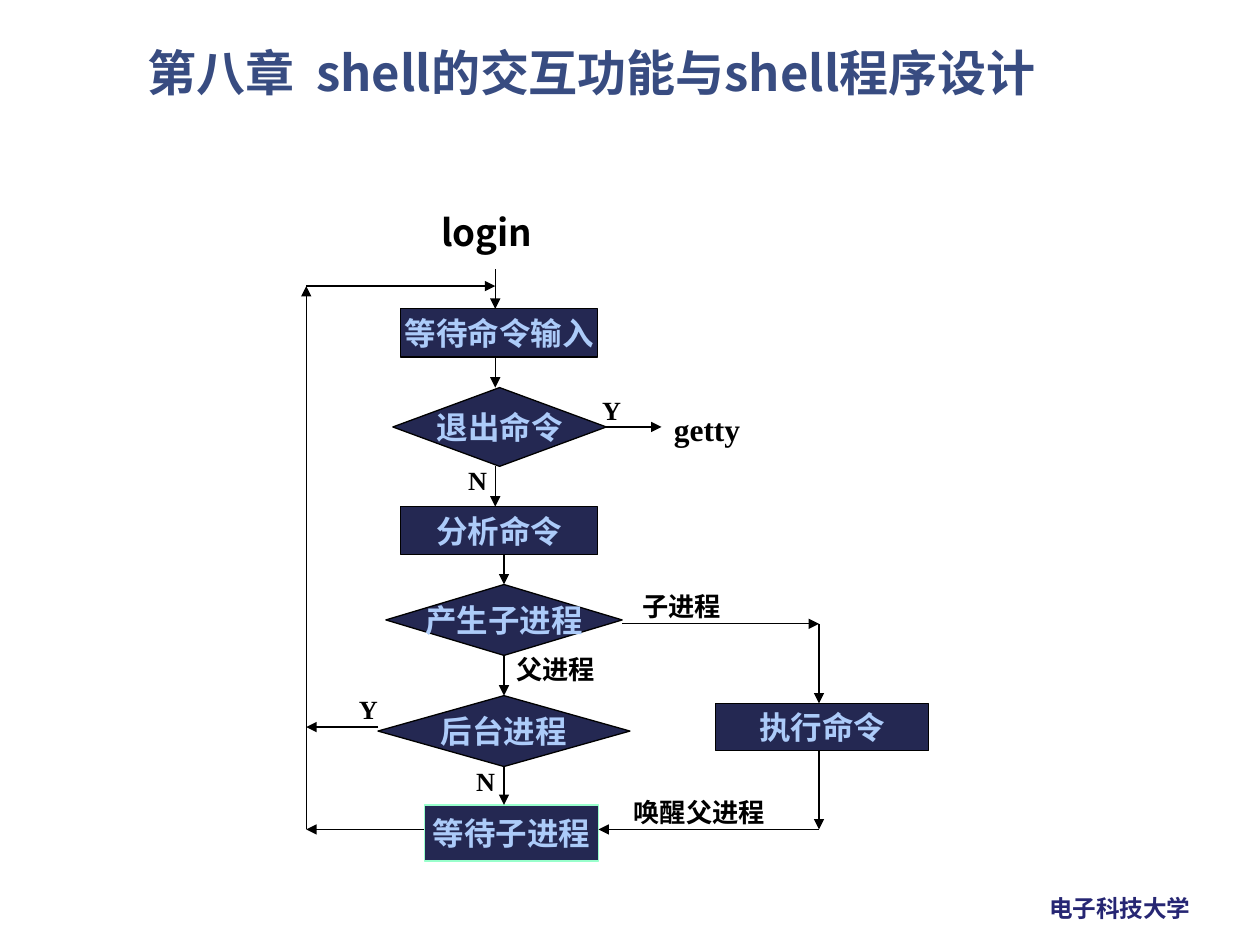
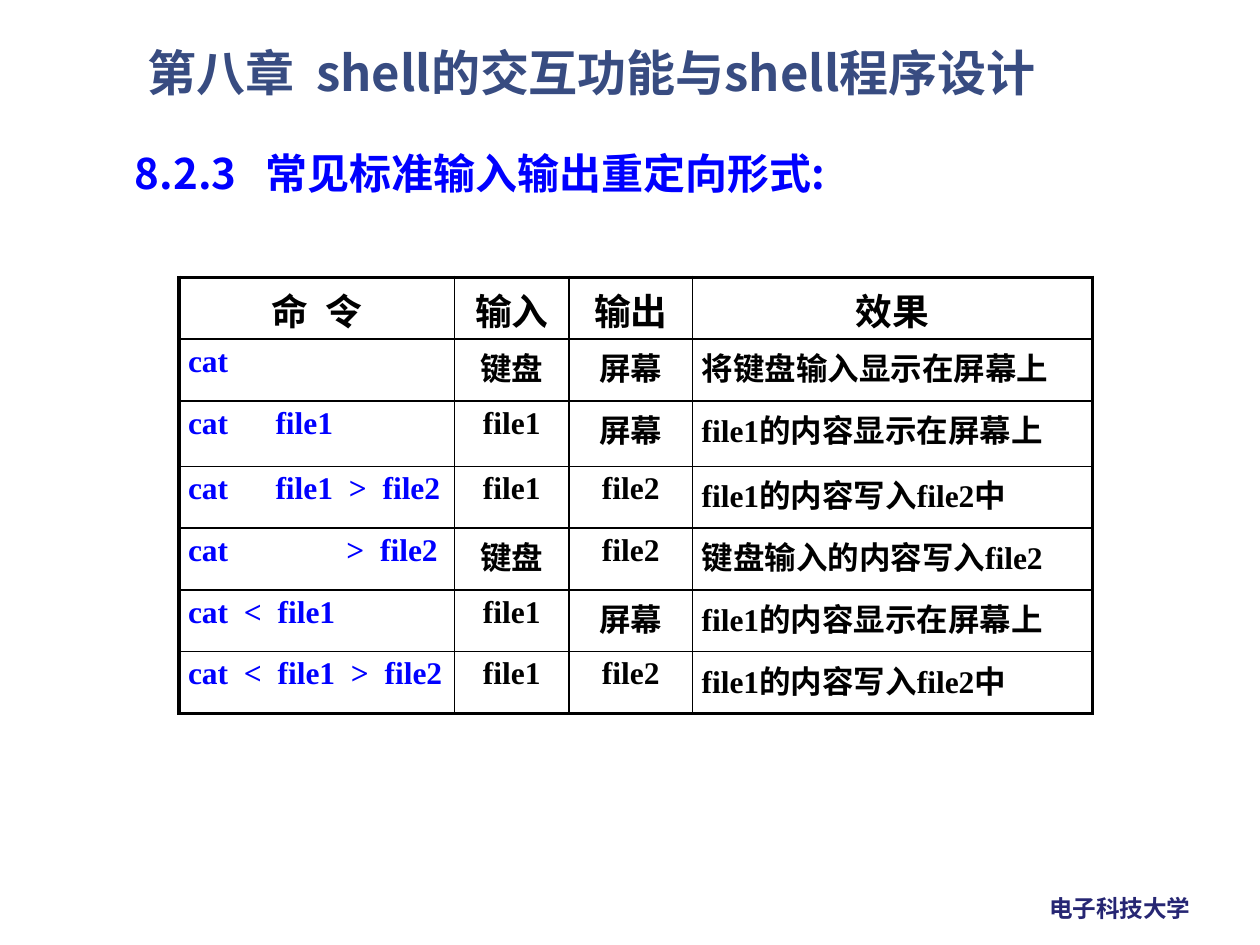
from dataclasses import dataclass

from lxml.etree import SubElement
from pptx import Presentation
from pptx.dml.color import RGBColor
from pptx.enum.shapes import MSO_CONNECTOR as Connector, MSO_SHAPE as Preset
from pptx.enum.text import MSO_ANCHOR as Anchor, PP_ALIGN as Align
from pptx.oxml.ns import qn
from pptx.util import Pt

SANS, SERIF = "Noto Sans CJK SC", "Times New Roman"
BLACK, BLUE, NAVY, PALE = "000000", "0000FF", "242852", "ACCBF9"
TITLE_COLOR, FOOTER_COLOR, MINT = "384C81", "262673", "99FFCC"
CHAPTER = "第八章  shell的交互功能与shell程序设计"
UPPER_X, LOWER_X, CHILD_X, LOOP_X = 283, 288, 468, 175
LOOP_TOP, LOOP_BOTTOM = 163.5, 474
JOIN_TOLERANCE = 0.75


@dataclass(frozen=True)
class Node:
    """A flowchart box, with its place in points."""
    text: str
    left: float
    top: float
    width: float
    height: float
    preset: Preset = Preset.RECTANGLE
    line: str = BLACK


@dataclass(frozen=True)
class Label:
    """A line of free text, with its place in points."""
    text: str
    left: float
    top: float
    width: float
    height: float = 25
    size: float = 15
    font: str = SERIF
    color: str = BLACK
    wrap: bool = True


@dataclass(frozen=True)
class Arrow:
    """A straight arrow between two points."""
    x1: float
    y1: float
    x2: float
    y2: float


FOOTER = Label("电子科技大学", 592.5, 507.5, 96.5, 24, 13.5, SANS, FOOTER_COLOR, False)
HEADING = Label("8.2.3   常见标准输入输出重定向形式:", 70, 81, 620, 42, 24, SANS, BLUE)

NODES = (
    Node("等待命令输入", 229, 176.5, 112.5, 27.5),
    Node("分析命令", 229, 289.5, 112.5, 27.5),
    Node("退出命令", 224.5, 221.5, 122, 45, Preset.FLOWCHART_DECISION),
    Node("产生子进程", 220.5, 334, 135, 40.5, Preset.FLOWCHART_DECISION),
    Node("后台进程", 216, 397.5, 144, 40.5, Preset.FLOWCHART_DECISION),
    Node("等待子进程", 242.5, 460, 99.5, 32, Preset.FLOWCHART_PROCESS, MINT),
    Node("执行命令", 409, 402, 121.5, 27),
)
ARROWS = (
    Arrow(UPPER_X, 154, UPPER_X, 176.5),
    Arrow(UPPER_X, 204, UPPER_X, 221.5),
    Arrow(UPPER_X, 266.5, UPPER_X, 289.5),
    Arrow(LOWER_X, 317, LOWER_X, 334),
    Arrow(LOWER_X, 374.5, LOWER_X, 397.5),
    Arrow(LOWER_X, 438, LOWER_X, 460),
    Arrow(346.5, 244, 378, 244),
    Arrow(355.5, 356.5, CHILD_X, 356.5),
    Arrow(CHILD_X, 356.5, CHILD_X, 402),
    Arrow(CHILD_X, 429, CHILD_X, LOOP_BOTTOM),
    Arrow(CHILD_X, LOOP_BOTTOM, 342, LOOP_BOTTOM),
    Arrow(LOOP_X, LOOP_TOP, UPPER_X, LOOP_TOP),
    Arrow(242.5, LOOP_BOTTOM, LOOP_X, LOOP_BOTTOM),
    Arrow(LOOP_X, LOOP_BOTTOM, LOOP_X, LOOP_TOP),
    Arrow(216, 415.5, LOOP_X, 415.5),
)
LABELS = (
    Label("login", 245, 116.5, 80, 38, 21, SANS),
    Label("getty", 378, 230.5, 72, 29, 18),
    Label("Y", 337, 222, 27),
    Label("N", 260.5, 262, 36),
    Label("子进程", 360, 334, 78.5),
    Label("父进程", 288, 370, 72),
    Label("唤醒父进程", 355, 451.5, 103.5),
    Label("N", 265, 433.5, 27),
    Label("Y", 198, 392.5, 31.5),
)
COLUMN_WIDTHS = (157.5, 65.5, 70.5, 228.5)
ROW_HEIGHTS = (35.3, 35.3, 37.4, 35.3, 35.3, 35.3, 35.3)
COMMAND_TABS = (50, 90.5)
REDIRECTIONS = (
    ("命  令", "输入", "输出", "效果"),
    ("cat", "键盘", "屏幕", "将键盘输入显示在屏幕上"),
    ("cat\tfile1", "file1", "屏幕", "file1的内容显示在屏幕上"),
    ("cat\tfile1  >  file2", "file1", "file2", "file1的内容写入file2中"),
    ("cat\t\t>  file2", "键盘", "file2", "键盘输入的内容写入file2"),
    ("cat  <  file1", "file1", "屏幕", "file1的内容显示在屏幕上"),
    ("cat  <  file1  >  file2", "file1", "file2", "file1的内容写入file2中"),
)


def rgb(color: str) -> RGBColor:
    """Turn a hex string into a colour."""
    return RGBColor.from_string(color)


def write(text_frame, text: str, size: float, font: str, color: str, align=Align.LEFT):
    """Set one bold paragraph, format it and return it."""
    text_frame.text = text
    paragraph = text_frame.paragraphs[0]
    paragraph.alignment = align
    for run in paragraph.runs:
        run.font.size, run.font.bold, run.font.name = Pt(size), True, font
        run.font.color.rgb = rgb(color)
        SubElement(run.font._element, qn("a:ea")).set("typeface", SANS)
    return paragraph


def add_label(slide, label: Label) -> None:
    """Draw a text box."""
    box = slide.shapes.add_textbox(Pt(label.left), Pt(label.top), Pt(label.width), Pt(label.height))
    box.text_frame.word_wrap = label.wrap
    write(box.text_frame, label.text, label.size, label.font, label.color)


def add_node(slide, node: Node):
    """Draw a flowchart box and return its shape."""
    shape = slide.shapes.add_shape(
        node.preset, Pt(node.left), Pt(node.top), Pt(node.width), Pt(node.height))
    shape.shadow.inherit = False
    shape.fill.solid()
    shape.fill.fore_color.rgb = rgb(NAVY)
    shape.line.color.rgb = rgb(node.line)
    shape.line.width = Pt(0.75)
    shape.text_frame.word_wrap = False
    shape.text_frame.vertical_anchor = Anchor.MIDDLE
    write(shape.text_frame, node.text, 18, SERIF, PALE, Align.CENTER)
    return shape


def join(connect, shapes, x: float, y: float) -> None:
    """Join a connector end to a side whose middle lies at the point."""
    for shape in shapes:
        center = shape.left + shape.width / 2
        middle = shape.top + shape.height / 2
        sides = ((center, shape.top), (shape.left, middle),
                 (center, shape.top + shape.height), (shape.left + shape.width, middle))
        for site, (side_x, side_y) in enumerate(sides):
            if max(abs(side_x - Pt(x)), abs(side_y - Pt(y))) <= Pt(JOIN_TOLERANCE):
                connect(shape, site)


def add_arrow(slide, arrow: Arrow, shapes) -> None:
    """Draw an arrow and join it to the boxes it meets."""
    connector = slide.shapes.add_connector(
        Connector.STRAIGHT, Pt(arrow.x1), Pt(arrow.y1), Pt(arrow.x2), Pt(arrow.y2))
    connector.line.color.rgb = rgb(BLACK)
    connector.line.width = Pt(0.75)
    SubElement(connector.line._get_or_add_ln(), qn("a:tailEnd")).set("type", "triangle")
    SubElement(connector._element.spPr, qn("a:effectLst"))
    join(connector.begin_connect, shapes, arrow.x1, arrow.y1)
    join(connector.end_connect, shapes, arrow.x2, arrow.y2)


def set_borders(cell, row: int, column: int) -> None:
    """Give a cell thin inner borders and thick outer ones."""
    outer = {"L": column == 0, "R": column == len(COLUMN_WIDTHS) - 1,
             "T": row == 0, "B": row == len(ROW_HEIGHTS) - 1}
    properties = cell._tc.get_or_add_tcPr()
    for side, thick in outer.items():
        line = SubElement(properties, qn(f"a:ln{side}"), w=str(Pt(2.25 if thick else 1)))
        fill = SubElement(line, qn("a:solidFill"))
        SubElement(fill, qn("a:srgbClr"), val=BLACK)


def add_tabs(paragraph) -> None:
    """Line up the parts of a command on tab stops."""
    stops = SubElement(paragraph._p.get_or_add_pPr(), qn("a:tabLst"))
    for position in COMMAND_TABS:
        SubElement(stops, qn("a:tab"), pos=str(Pt(position)), algn="l")


def add_redirection_table(slide) -> None:
    """Draw the table of redirection forms."""
    table = slide.shapes.add_table(
        len(ROW_HEIGHTS), len(COLUMN_WIDTHS), Pt(102.25), Pt(158.5),
        Pt(sum(COLUMN_WIDTHS)), Pt(sum(ROW_HEIGHTS))).table
    table.first_row = table.horz_banding = False
    for column, width in zip(table.columns, COLUMN_WIDTHS):
        column.width = Pt(width)
    for row, height in zip(table.rows, ROW_HEIGHTS):
        row.height = Pt(height)
    for row, texts in enumerate(REDIRECTIONS):
        for column, text in enumerate(texts):
            cell = table.cell(row, column)
            is_header, is_command = row == 0, row > 0 and column == 0
            cell.margin_left = cell.margin_right = Pt(5.2)
            cell.margin_top = cell.margin_bottom = Pt(2.9)
            set_borders(cell, row, column)
            cell.fill.background()
            paragraph = write(
                cell.text_frame, text, 21 if is_header else 18, SERIF,
                BLUE if is_command else BLACK,
                Align.CENTER if is_header or column in (1, 2) else Align.LEFT)
            if is_command:
                add_tabs(paragraph)


def add_chapter_slide(presentation):
    """Add a slide with the chapter title and the footer."""
    slide = presentation.slides.add_slide(presentation.slide_layouts[5])
    title = slide.shapes.title
    title.left, title.top, title.width, title.height = Pt(77), Pt(26), Pt(550), Pt(34.5)
    title.text_frame.word_wrap = True
    title.text_frame.margin_right = 0
    title.text_frame.vertical_anchor = Anchor.MIDDLE
    write(title.text_frame, CHAPTER, 28, SANS, TITLE_COLOR).line_spacing = 0.9
    add_label(slide, FOOTER)
    return slide


def add_flowchart_slide(presentation) -> None:
    """Build the slide with the shell's command loop."""
    slide = add_chapter_slide(presentation)
    shapes = [add_node(slide, node) for node in NODES]
    for arrow in ARROWS:
        add_arrow(slide, arrow, shapes)
    for label in LABELS:
        add_label(slide, label)


def add_redirection_slide(presentation) -> None:
    """Build the slide with the redirection forms."""
    slide = add_chapter_slide(presentation)
    add_label(slide, HEADING)
    add_redirection_table(slide)


def main() -> None:
    """Build and save the presentation."""
    presentation = Presentation()
    presentation.slide_width, presentation.slide_height = Pt(720), Pt(540)
    add_flowchart_slide(presentation)
    add_redirection_slide(presentation)
    presentation.save("out.pptx")


if __name__ == "__main__":
    main()
